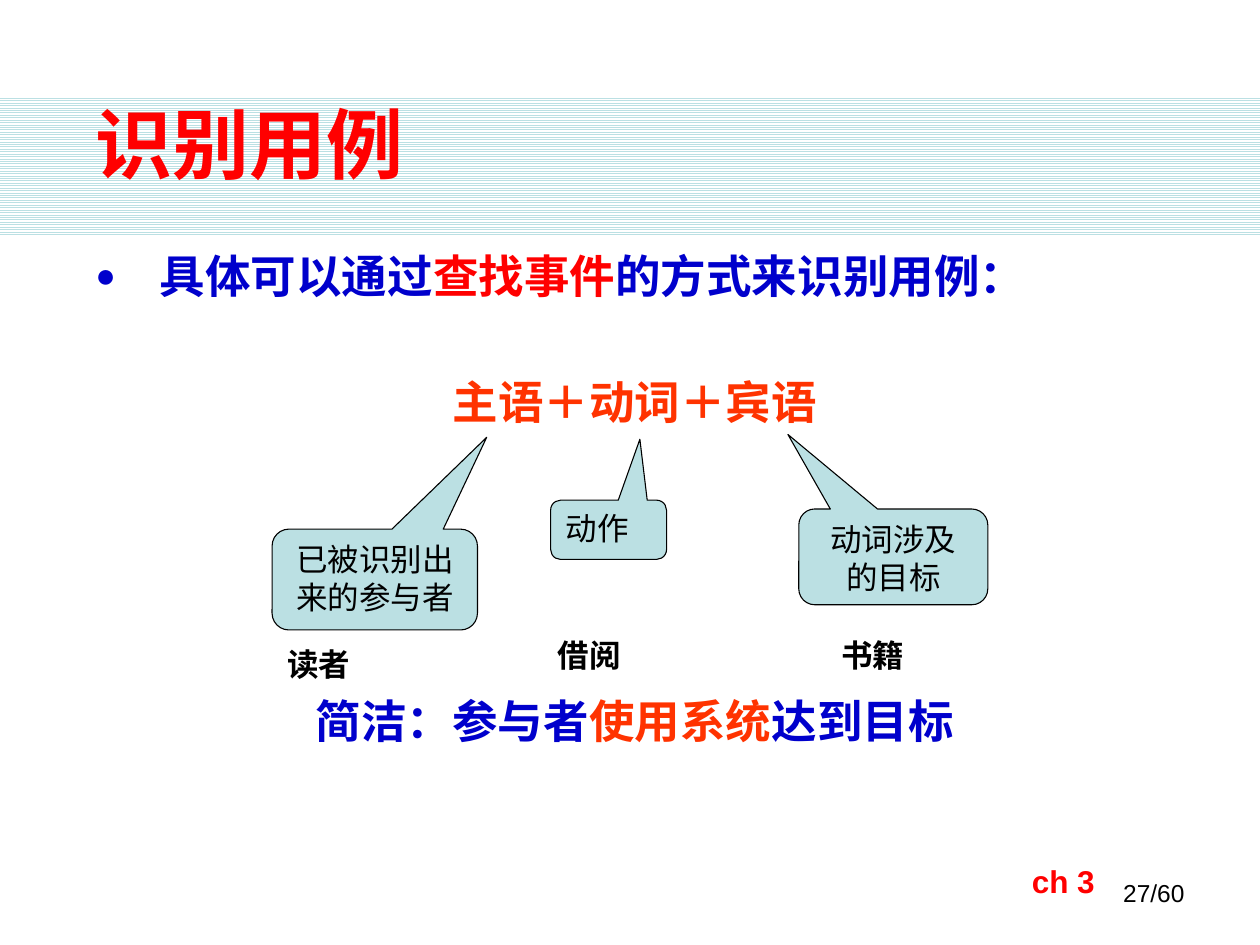
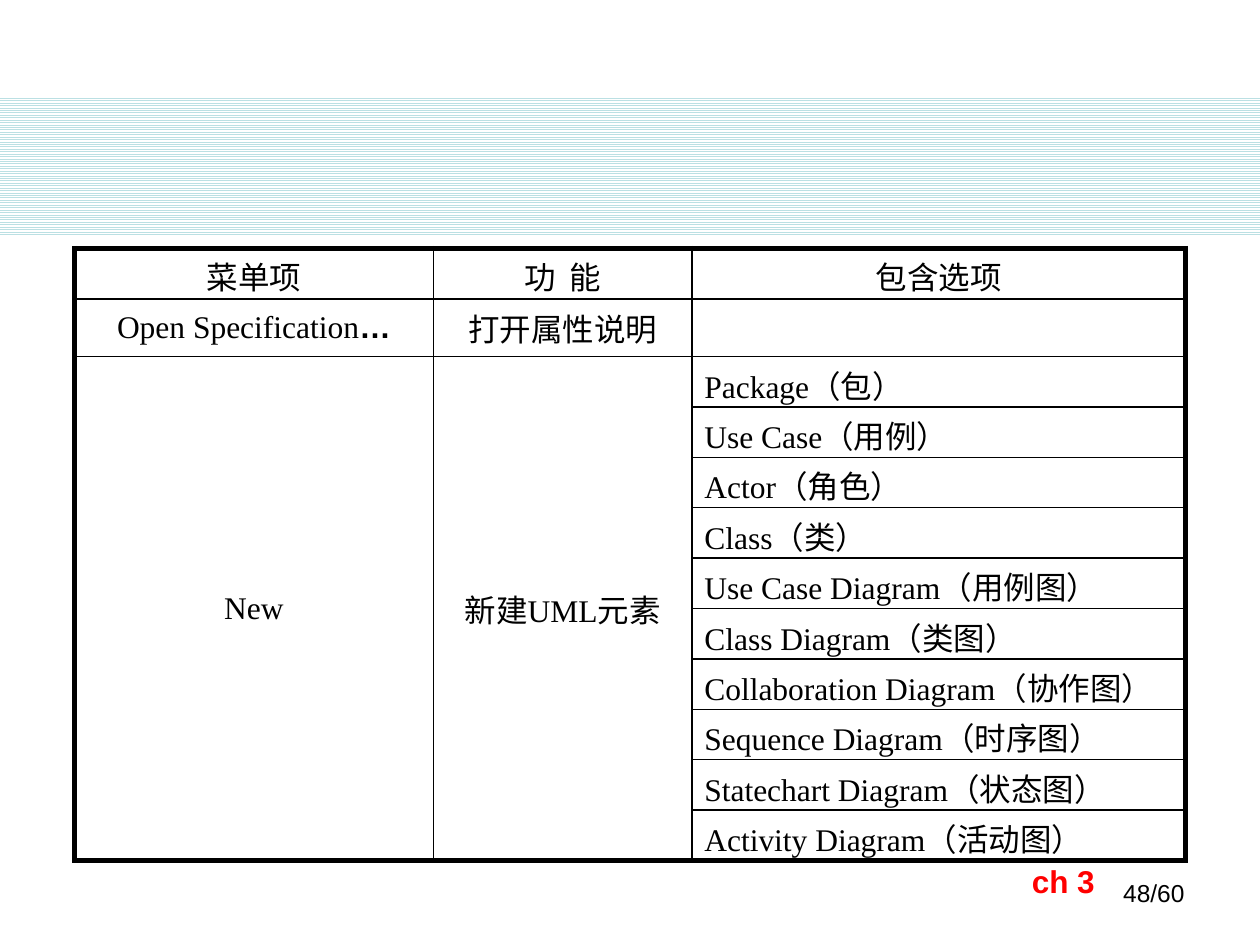
from typing import NamedTuple

from lxml.etree import SubElement
from pptx import Presentation
from pptx.dml.color import RGBColor
from pptx.enum.dml import MSO_PATTERN
from pptx.enum.shapes import MSO_SHAPE
from pptx.enum.text import MSO_ANCHOR, PP_ALIGN
from pptx.oxml import parse_xml
from pptx.oxml.ns import nsdecls, qn
from pptx.util import Inches, Pt

COLS, ROWS = 100, 75
UNIT = Inches(0.1)

BLACK = RGBColor(0x00, 0x00, 0x00)
WHITE = RGBColor(0xFF, 0xFF, 0xFF)
RED = RGBColor(0xFF, 0x00, 0x00)
ORANGE = RGBColor(0xFF, 0x33, 0x00)
BLUE = RGBColor(0x00, 0x00, 0xCC)
PALE_TEAL = RGBColor(0xBB, 0xE0, 0xE3)

SANS = "Arial"
CJK = "Noto Sans CJK SC"
SERIF = "Times New Roman"

THIN, THICK = Pt(1), Pt(3)
PAGES = 60


class Box(NamedTuple):
    col: float
    row: float
    cols: float
    rows: float

    def lengths(self) -> list[int]:
        return [round(v * UNIT) for v in self]


class Callout(NamedTuple):
    text: str
    box: Box
    tip: tuple[float, float]
    align: PP_ALIGN


class Label(NamedTuple):
    text: str
    col: float
    row: float


class Line(NamedTuple):
    runs: list[tuple[str, RGBColor]]
    align: PP_ALIGN
    before: float


CALLOUTS = [
    Callout("已被识别出来的参与者", Box(21.6, 42, 16.3, 8), (0.545, -1.411), PP_ALIGN.CENTER),
    Callout("动作", Box(43.7, 39.7, 9.2, 4.7), (0.27, -1.529), PP_ALIGN.LEFT),
    Callout("动词涉及的目标", Box(63.4, 40.4, 15, 7.6), (-0.558, -1.279), PP_ALIGN.CENTER),
]
LABELS = [Label("读者", 21.8, 50.7), Label("借阅", 43.3, 50), Label("书籍", 65.8, 50)]
BODY = [
    Line([("具体可以通过", BLUE), ("查找事件", RED), ("的方式来识别用例：", BLUE)],
         PP_ALIGN.LEFT, 0),
    Line([("主语＋动词＋宾语", ORANGE)], PP_ALIGN.CENTER, 41),
    Line([("简洁：参与者", BLUE), ("使用系统", ORANGE), ("达到目标", BLUE)],
         PP_ALIGN.CENTER, 151),
]

HEADERS = ["菜单项", "功  能", "包含选项"]
OPTIONS = [
    "Package（包）", "Use Case（用例）", "Actor（角色）", "Class（类）",
    "Use Case Diagram（用例图）", "Class Diagram（类图）",
    "Collaboration Diagram（协作图）", "Sequence Diagram（时序图）",
    "Statechart Diagram（状态图）", "Activity Diagram（活动图）",
]
TABLE_COLS = [28.5, 20.5, 39.2]
TABLE_ROWS = [4.05, 4.55] + [4] * len(OPTIONS)
MERGED_ROW, MERGED_COLS = 2, 2


def write(p, text: str, *, size: float = 18, font: str = CJK,
          color: RGBColor = BLACK, bold: bool = False) -> None:
    r = p.add_run()
    r.text = text
    r.font.size, r.font.name, r.font.bold = Pt(size), font, bold
    r.font.color.rgb = color
    SubElement(r.font._element, qn("a:ea")).set("typeface", CJK)


def add_text(s, box: Box, text: str, *, align: PP_ALIGN = PP_ALIGN.LEFT,
             wrap: bool = True, **fmt) -> None:
    tf = s.shapes.add_textbox(*box.lengths()).text_frame
    tf.word_wrap = wrap
    tf.paragraphs[0].alignment = align
    write(tf.paragraphs[0], text, **fmt)


def add_band(s) -> None:
    sp = s.shapes.add_shape(MSO_SHAPE.RECTANGLE, *Box(0, 7.6, COLS, 11).lengths())
    sp.shadow.inherit = False
    sp.fill.patterned()
    sp.fill.pattern = MSO_PATTERN.LIGHT_HORIZONTAL
    sp.fill.fore_color.rgb, sp.fill.back_color.rgb = PALE_TEAL, WHITE
    sp.line.fill.background()
    s.shapes._spTree.insert(2, sp._element)


def add_slide(prs, layout: int, page: int):
    s = prs.slides.add_slide(prs.slide_layouts[layout])
    add_band(s)
    add_text(s, Box(71.7, 69.2, 23.3, 5), f"{page}/{PAGES}",
             align=PP_ALIGN.RIGHT, size=14, font=SANS)
    add_text(s, Box(80.9, 67.9, 12.5, 4), "ch 3", font=SANS, color=RED, bold=True)
    return s


def set_title(s, text: str) -> None:
    sp = s.shapes.title
    sp.left, sp.top, sp.width, sp.height = Box(6.6, 6.5, 87.4, 9).lengths()
    tf = sp.text_frame
    tf.vertical_anchor = MSO_ANCHOR.BOTTOM
    p = tf.paragraphs[0]
    p.alignment = PP_ALIGN.LEFT
    write(p, text, size=44, font=SANS, color=RED, bold=True)


def add_bullet(p) -> None:
    pPr = p._p.get_or_add_pPr()
    pPr.set("marL", str(Inches(0.51)))
    pPr.set("indent", str(-Inches(0.51)))
    SubElement(pPr, qn("a:buSzPct")).set("val", "75000")
    SubElement(pPr, qn("a:buFont")).set("typeface", SANS)
    SubElement(pPr, qn("a:buChar")).set("char", "●")


def add_body(s) -> None:
    tf = s.shapes.add_textbox(*Box(6.6, 19.2, 87.6, 46.7).lengths()).text_frame
    tf.word_wrap = True
    for i, line in enumerate(BODY):
        p = tf.add_paragraph() if i else tf.paragraphs[0]
        p.alignment = line.align
        p.space_before = Pt(line.before)
        if i == 0:
            add_bullet(p)
        for text, color in line.runs:
            write(p, text, size=26, color=color, bold=True)


def add_callout(s, callout: Callout) -> None:
    sp = s.shapes.add_shape(MSO_SHAPE.ROUNDED_RECTANGULAR_CALLOUT, *callout.box.lengths())
    sp.shadow.inherit = False
    sp.adjustments[0], sp.adjustments[1] = callout.tip
    sp.fill.solid()
    sp.fill.fore_color.rgb = PALE_TEAL
    sp.line.color.rgb = BLACK
    sp.line.width = Pt(0.63)
    tf = sp.text_frame
    tf.vertical_anchor = MSO_ANCHOR.TOP
    tf.paragraphs[0].alignment = callout.align
    write(tf.paragraphs[0], callout.text)


def set_borders(cell, widths: dict[str, int]) -> None:
    tcPr = cell._tc.get_or_add_tcPr()
    for i, (side, width) in enumerate(widths.items()):
        tcPr.insert(i, parse_xml(
            f'<a:ln{side} {nsdecls("a")} w="{width}"><a:solidFill>'
            f'<a:srgbClr val="{BLACK}"/></a:solidFill></a:ln{side}>'))


def fill_cell(cell, text: str, align: PP_ALIGN = PP_ALIGN.CENTER):
    p = cell.text_frame.paragraphs[0]
    p.alignment = align
    write(p, text, font=SERIF)
    return p


def add_menu_table(s) -> None:
    n_rows, n_cols = len(TABLE_ROWS), len(TABLE_COLS)
    box = Box(5.9, 19.7, sum(TABLE_COLS), sum(TABLE_ROWS))
    table = s.shapes.add_table(n_rows, n_cols, *box.lengths()).table
    for column, cols in zip(table.columns, TABLE_COLS):
        column.width = round(cols * UNIT)
    for row, rows in zip(table.rows, TABLE_ROWS):
        row.height = round(rows * UNIT)
    for r in range(n_rows):
        for c in range(n_cols):
            cell = table.cell(r, c)
            roomy = r > 0 and c < MERGED_COLS
            at_bottom = r == n_rows - 1 or (r == MERGED_ROW and c < MERGED_COLS)
            cell.fill.background()
            cell.vertical_anchor = MSO_ANCHOR.MIDDLE
            cell.margin_top = Inches(0.04)
            cell.margin_bottom = Inches(0.04) if roomy else 0
            set_borders(cell, {
                "L": THICK if c == 0 else THIN,
                "R": THICK if c == n_cols - 1 else THIN,
                "T": THICK if r == 0 else THIN,
                "B": THICK if at_bottom else THIN,
            })
    for c, text in enumerate(HEADERS):
        fill_cell(table.cell(0, c), text)
    write(fill_cell(table.cell(1, 0), "Open Specification"), "…", font=SANS, bold=True)
    fill_cell(table.cell(1, 1), "打开属性说明")
    for c, text in enumerate(["New", "新建UML元素"]):
        table.cell(MERGED_ROW, c).merge(table.cell(n_rows - 1, c))
        fill_cell(table.cell(MERGED_ROW, c), text)
    for r, text in enumerate(OPTIONS, start=MERGED_ROW):
        fill_cell(table.cell(r, n_cols - 1), text, PP_ALIGN.LEFT)


def main() -> None:
    prs = Presentation()
    prs.slide_width, prs.slide_height = COLS * UNIT, ROWS * UNIT

    s = add_slide(prs, 5, 27)
    set_title(s, "识别用例")
    add_body(s)
    for callout in CALLOUTS:
        add_callout(s, callout)
    for label in LABELS:
        add_text(s, Box(label.col, label.row, 7, 4), label.text, wrap=False, bold=True)

    s = add_slide(prs, 6, 48)
    add_menu_table(s)

    prs.save("out.pptx")


if __name__ == "__main__":
    main()
